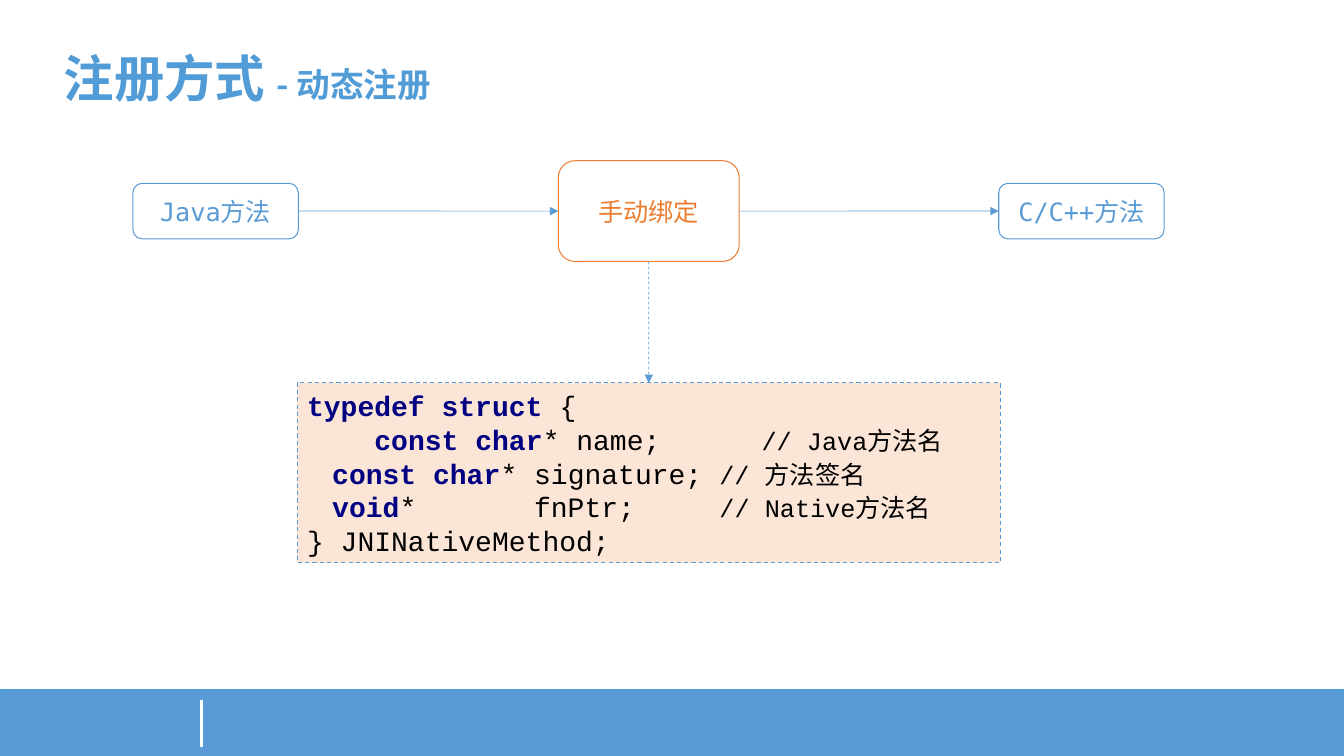
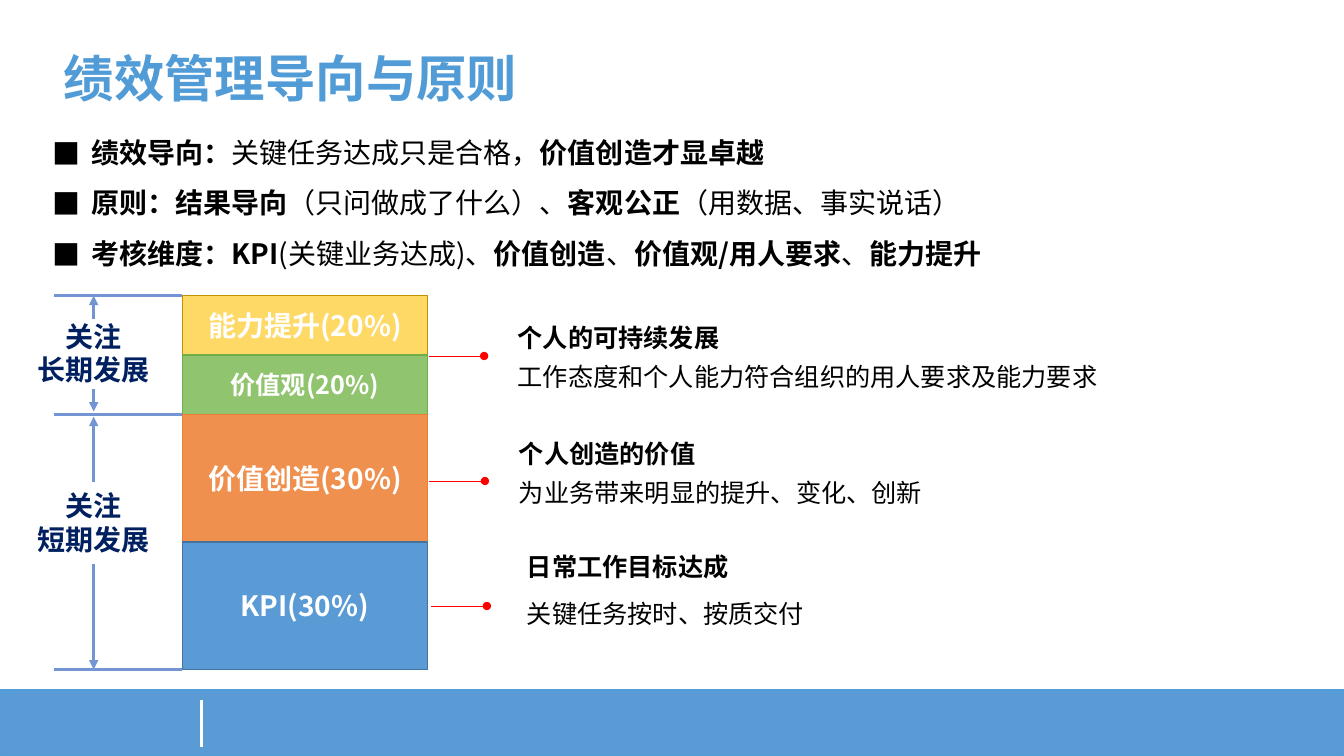
from dataclasses import dataclass

from lxml.etree import SubElement
from pptx import Presentation
from pptx.dml.color import RGBColor
from pptx.enum.dml import MSO_LINE
from pptx.enum.shapes import MSO_CONNECTOR, MSO_SHAPE
from pptx.enum.text import MSO_ANCHOR, MSO_AUTO_SIZE, PP_ALIGN
from pptx.oxml.ns import qn
from pptx.util import Cm, Pt


@dataclass(frozen=True)
class Theme:
    blue: str = "5B9BD5"
    band_line: str = "529DD7"
    title: str = "519CD6"
    orange: str = "ED7D31"
    peach: str = "FBE5D6"
    keyword: str = "000080"
    navy: str = "002060"
    bracket: str = "7395D3"
    red: str = "FF0000"
    black: str = "000000"
    white: str = "FFFFFF"
    sans: str = "Noto Sans CJK SC"
    mono: str = "DejaVu Sans Mono"
    code: str = "Courier New"
    title_size: int = 36
    subtitle_size: int = 24
    large: int = 20
    medium: int = 18
    leading: float = 1.2


T = Theme()
LEFT, CENTER = PP_ALIGN.LEFT, PP_ALIGN.CENTER

CODE_LINES = [
    [("typedef struct ", "keyword"), ("{", "plain")],
    [("    ", "plain"), ("const char", "keyword"), ("* name;      ", "plain"),
     ("// Java方法名", "comment")],
    [("    ", "plain"), ("const char", "keyword"), ("* signature; ", "plain"),
     ("// 方法签名", "comment")],
    [("    ", "plain"), ("void", "keyword"), ("*       fnPtr;     ", "plain"),
     ("// Native方法名", "comment")],
    [("} JNINativeMethod;", "plain")],
]

PRINCIPLES = [
    [("绩效导向：", True), ("关键任务达成只是合格，", False), ("价值创造才显卓越", True)],
    [("原则：结果导向", True), ("（只问做成了什么）、", False), ("客观公正", True),
     ("（用数据、事实说话）", False)],
    [("考核维度：KPI", True), ("(关键业务达成)、", False), ("价值创造", True), ("、", False),
     ("价值观/用人要求", True), ("、", False), ("能力提升", True)],
]

SEGMENTS = [
    ("能力提升(20%)", 1.5, "FFD966", "BF9000", T.large),
    ("价值观(20%)", 1.5, "91C46E", "70AD47", T.medium),
    ("价值创造(30%)", 3.21, "EF904F", T.orange, T.large),
    ("KPI(30%)", 3.21, T.blue, "43739E", T.large),
]

CALLOUTS = [
    (10.8, 8.97, 12.8, 8.0, 0, "个人的可持续发展", "工作态度和个人能力符合组织的用人要求及能力要求"),
    (10.82, 12.12, 12.83, 10.92, 0, "个人创造的价值", "为业务带来明显的提升、变化、创新"),
    (10.87, 15.27, 13.03, 13.77, 6, "日常工作目标达成", "关键任务按时、按质交付"),
]


def rgb(value):
    return RGBColor.from_string(value)


def add_run(p, text, size, color, bold=False, font=T.sans):
    r = p.add_run()
    r.text = text
    r.font.size = Pt(size)
    r.font.bold = bold
    r.font.color.rgb = rgb(color)
    r.font.name = font
    SubElement(r.font.element if hasattr(r.font, "element") else r._r.get_or_add_rPr(),
               qn("a:ea"), typeface=T.sans)


def format_paragraph(p, size=None, align=LEFT, before=0, after=0):
    p.alignment = align
    p.space_before, p.space_after = Pt(before), Pt(after)
    if size:
        p.line_spacing = Pt(size * T.leading)


def paragraphs(tf, count):
    return [tf.paragraphs[0]] + [tf.add_paragraph() for _ in range(count - 1)]


def place(sp, x, y, w, h):
    sp.left, sp.top, sp.width, sp.height = Cm(x), Cm(y), Cm(w), Cm(h)


def style_line(line, color, width, dashed=False):
    line.color.rgb = rgb(color)
    line.width = Pt(width)
    if dashed:
        line.dash_style = MSO_LINE.DASH


def add_box(s, kind, x, y, w, h, line, width, fill=None, dashed=False):
    sp = s.shapes.add_shape(kind, Cm(x), Cm(y), Cm(w), Cm(h))
    sp.shadow.inherit = False
    if fill:
        sp.fill.solid()
        sp.fill.fore_color.rgb = rgb(fill)
    else:
        sp.fill.background()
    style_line(sp.line, line, width, dashed)
    sp.text_frame.vertical_anchor = MSO_ANCHOR.MIDDLE
    return sp


def add_label(sp, text, size, color, bold=False, font=T.sans):
    p = sp.text_frame.paragraphs[0]
    format_paragraph(p, align=CENTER)
    add_run(p, text, size, color, bold, font)


def add_line(s, x1, y1, x2, y2, color, width, tail=None, dashed=False):
    line = s.shapes.add_connector(MSO_CONNECTOR.STRAIGHT, Cm(x1), Cm(y1), Cm(x2), Cm(y2))
    style_line(line.line, color, width, dashed)
    sp_pr = line.element.spPr
    if tail:
        SubElement(sp_pr.find(qn("a:ln")), qn("a:tailEnd"), type=tail)
    SubElement(sp_pr, qn("a:effectLst"))
    return line


def link(s, start, start_site, end, end_site, dashed=False):
    line = add_line(s, 0, 0, 1, 1, T.blue, 0.5, "triangle", dashed)
    line.begin_connect(start, start_site)
    line.end_connect(end, end_site)


def add_text(s, x, y, w, h, wrap=True):
    tf = s.shapes.add_textbox(Cm(x), Cm(y), Cm(w), Cm(h)).text_frame
    tf.word_wrap = wrap
    return tf


def set_title(s, *parts):
    sp = s.shapes.title
    place(sp, 1.35, 1.04, 20, 1.8)
    tf = sp.text_frame
    tf.vertical_anchor = MSO_ANCHOR.MIDDLE
    tf.auto_size = MSO_AUTO_SIZE.NONE
    format_paragraph(tf.paragraphs[0])
    for text, size in parts:
        add_run(tf.paragraphs[0], text, size, T.title, True)


def add_master_band(prs, s):
    band = add_box(s, MSO_SHAPE.RECTANGLE, 0, 17.4, 33.87, 1.65, T.band_line, 1.5, T.blue)
    divider = add_line(s, 5.08, 17.63, 5.08, 18.82, T.white, 2.25)
    tree = prs.slide_master.shapes.element
    for i, sp in enumerate((band, divider)):
        sp.element.xpath(".//p:cNvPr")[0].set("id", str(100 + i))
        tree.insert(2 + i, sp.element)


def add_code(sp):
    styles = {
        "keyword": (T.large, T.keyword, True),
        "plain": (T.large, T.black, False),
        "comment": (T.medium, T.black, False),
    }
    p = sp.text_frame.paragraphs[0]
    format_paragraph(p, T.large)
    for i, line in enumerate(CODE_LINES):
        if i:
            p.add_line_break()
        for text, style in line:
            add_run(p, text, *styles[style], T.code)


def add_bullets(sp, items):
    place(sp, 1.07, 3.28, 31.85, 3.68)
    tf = sp.text_frame
    tf.auto_size = MSO_AUTO_SIZE.NONE
    for p, item in zip(paragraphs(tf, len(items)), items):
        format_paragraph(p, T.large, before=6, after=6)
        p_pr = p._p.get_or_add_pPr()
        p_pr.set("marL", str(Cm(0.97)))
        p_pr.set("indent", str(-Cm(0.97)))
        SubElement(p_pr, qn("a:buFont"), typeface=T.sans)
        SubElement(p_pr, qn("a:buChar"), char="■")
        for text, bold in item:
            add_run(p, text, T.large, T.black, bold)


def add_callout(s, line_x, line_y, x, y, gap, heading, detail):
    add_line(s, line_x, line_y, line_x + 1.4, line_y, T.red, 0.5, "oval")
    first, second = paragraphs(add_text(s, x, y, 16, 2), 2)
    format_paragraph(first, T.medium, before=6, after=6)
    add_run(first, heading, T.medium, T.black, True)
    format_paragraph(second, T.medium, before=gap, after=gap)
    add_run(second, detail, T.medium, T.black)


def add_span(s, top, bottom, label_top, label_bottom, text_y, words):
    x = 2.36
    add_line(s, x, label_top, x, top, T.bracket, 2.25, "triangle")
    add_line(s, x, label_bottom, x, bottom, T.bracket, 2.25, "triangle")
    tf = add_text(s, x - 1.67, text_y, 3.34, 1.5, wrap=False)
    for p, word in zip(paragraphs(tf, len(words)), words):
        format_paragraph(p, T.large, CENTER)
        add_run(p, word, T.large, T.navy, True)


def build_registration(s):
    set_title(s, ("注册方式 ", T.title_size), ("- 动态注册", T.subtitle_size))
    middle = 5.32
    nodes = []
    for text, x, w, h, color in (
        ("Java方法", 3.35, 4.17, 1.4, T.blue),
        ("手动绑定", 14.07, 4.56, 2.54, T.orange),
        ("C/C++方法", 25.17, 4.17, 1.4, T.blue),
    ):
        sp = add_box(s, MSO_SHAPE.ROUNDED_RECTANGLE, x, middle - h / 2, w, h, color, 0.75)
        add_label(sp, text, T.medium, color, font=T.mono)
        nodes.append(sp)
    java, binding, native = nodes
    code = add_box(s, MSO_SHAPE.RECTANGLE, 7.49, 9.65, 17.72, 4.53, T.blue, 0.75,
                   T.peach, dashed=True)
    add_code(code)
    link(s, java, 3, binding, 1)
    link(s, binding, 3, native, 1)
    link(s, binding, 2, code, 0, dashed=True)


def build_performance(s):
    set_title(s, ("绩效管理导向与原则", T.title_size))
    add_bullets(s.placeholders[1], PRINCIPLES)
    edges = [7.45]
    for text, h, fill, line, size in SEGMENTS:
        sp = add_box(s, MSO_SHAPE.RECTANGLE, 4.6, edges[-1], 6.17, h, line, 1, fill)
        add_label(sp, text, size, T.white, True)
        edges.append(edges[-1] + h)
    top, split, bottom = edges[0], edges[2], edges[-1]
    for y in (top, split, bottom):
        add_line(s, 1.35, y, 4.6, y, T.bracket, 2.25)
    add_span(s, top, split - 0.08, 8.05, 9.8, 7.92, ("关注", "长期发展"))
    add_span(s, split + 0.05, bottom, 12.14, 14.2, 12.19, ("关注", "短期发展"))
    for callout in CALLOUTS:
        add_callout(s, *callout)


def main():
    prs = Presentation()
    prs.slide_width, prs.slide_height = Cm(33.87), Cm(19.05)
    registration = prs.slides.add_slide(prs.slide_layouts[5])
    add_master_band(prs, registration)
    build_registration(registration)
    build_performance(prs.slides.add_slide(prs.slide_layouts[1]))
    prs.save("out.pptx")


if __name__ == "__main__":
    main()
